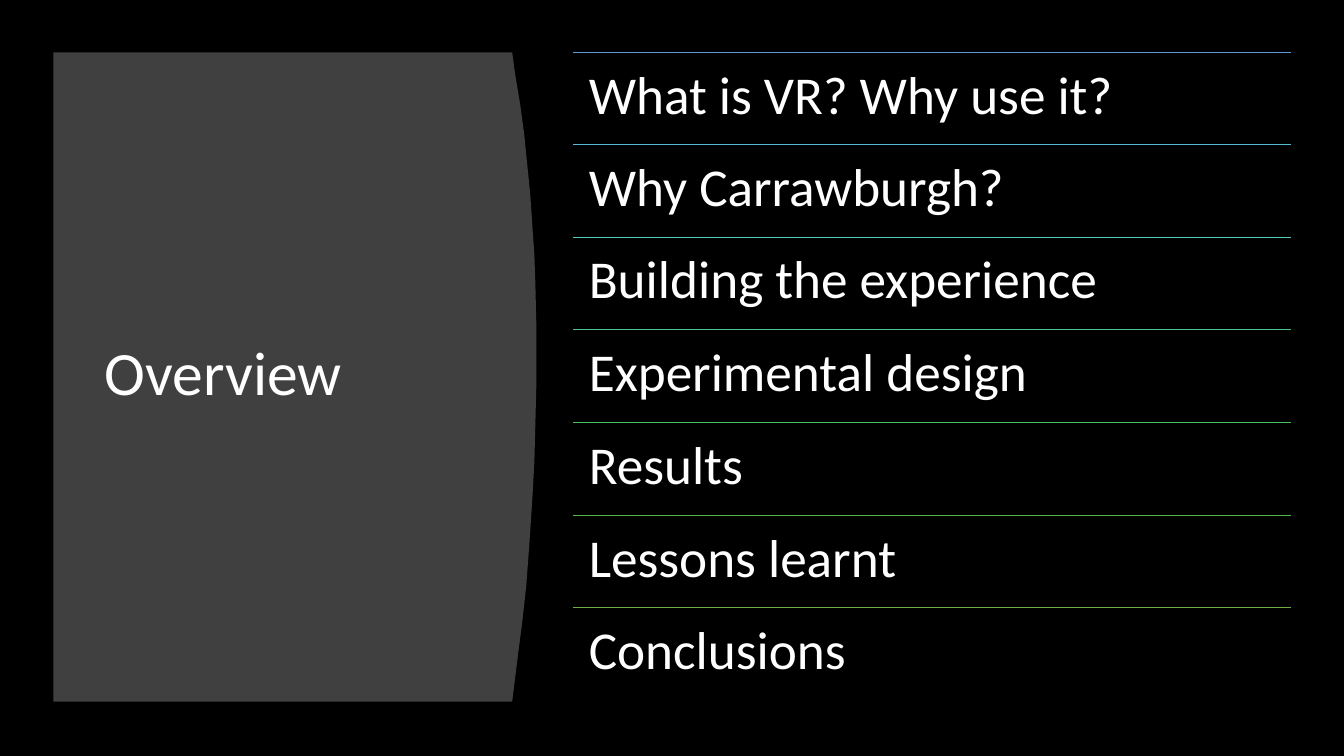
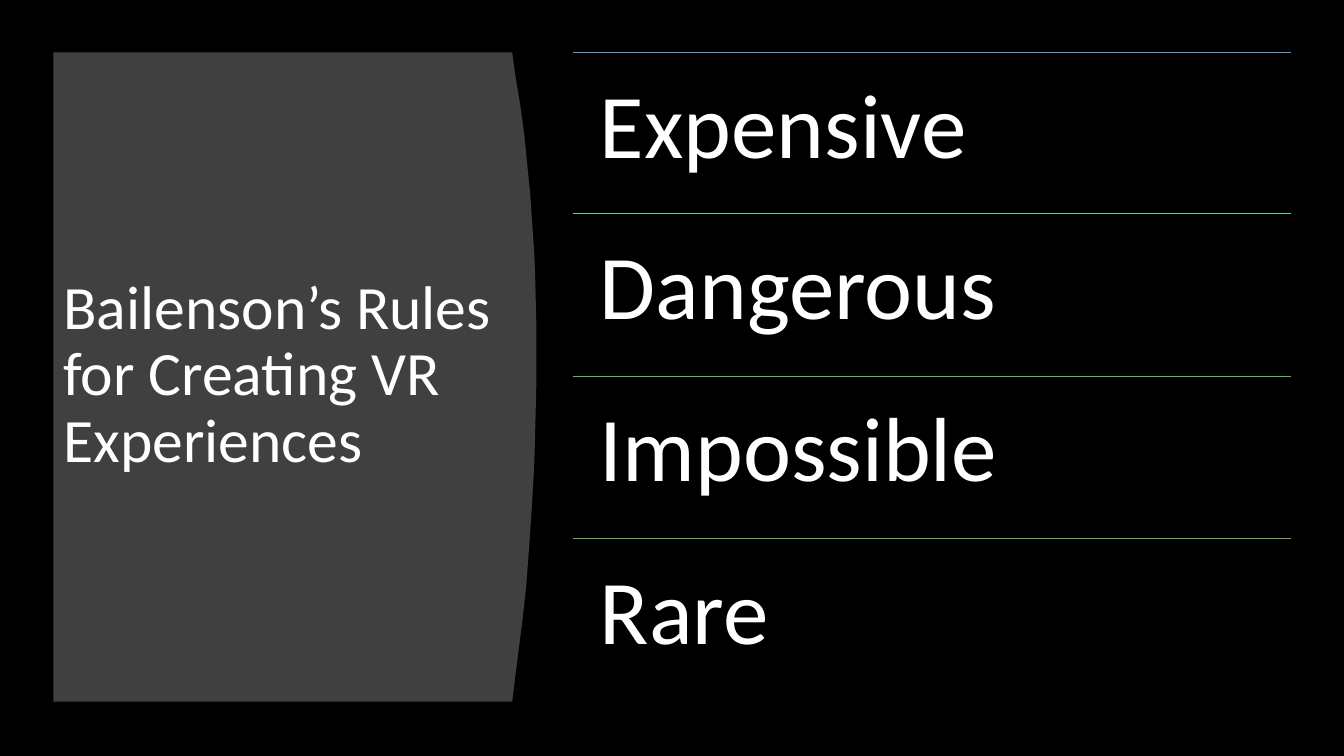
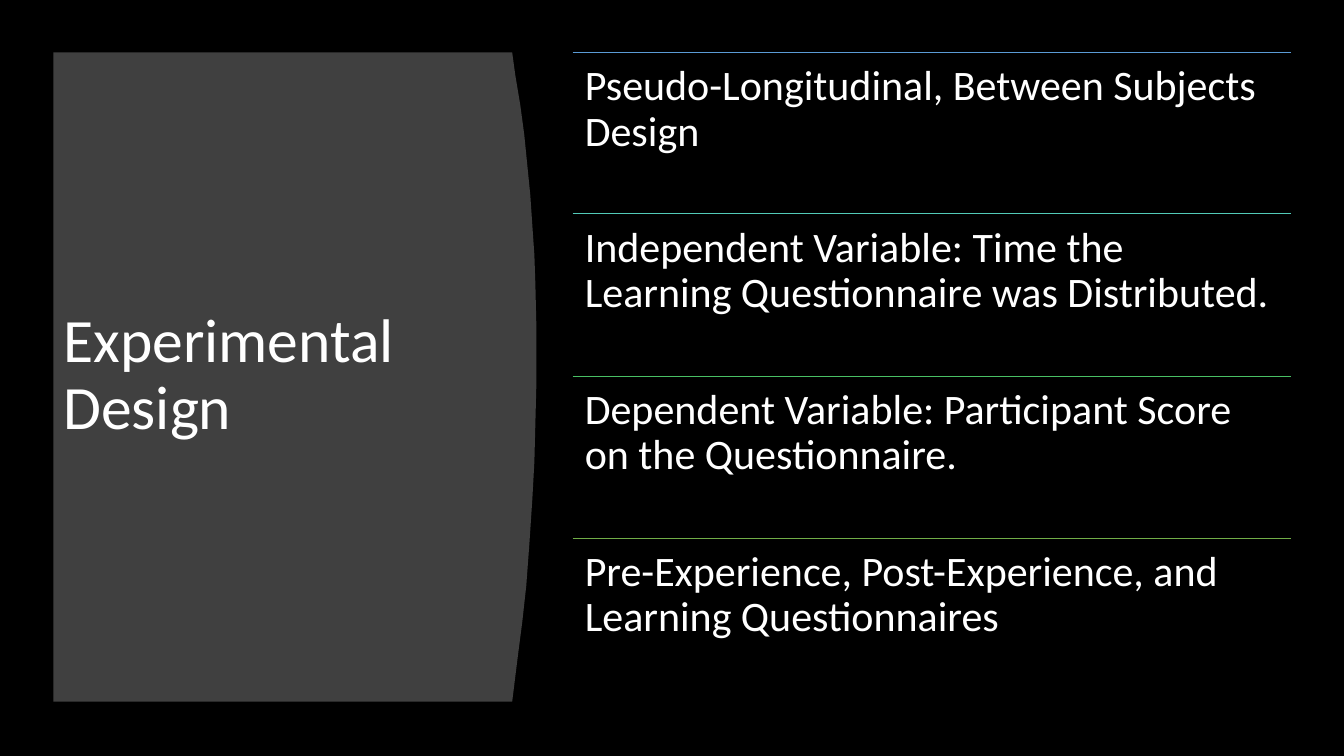
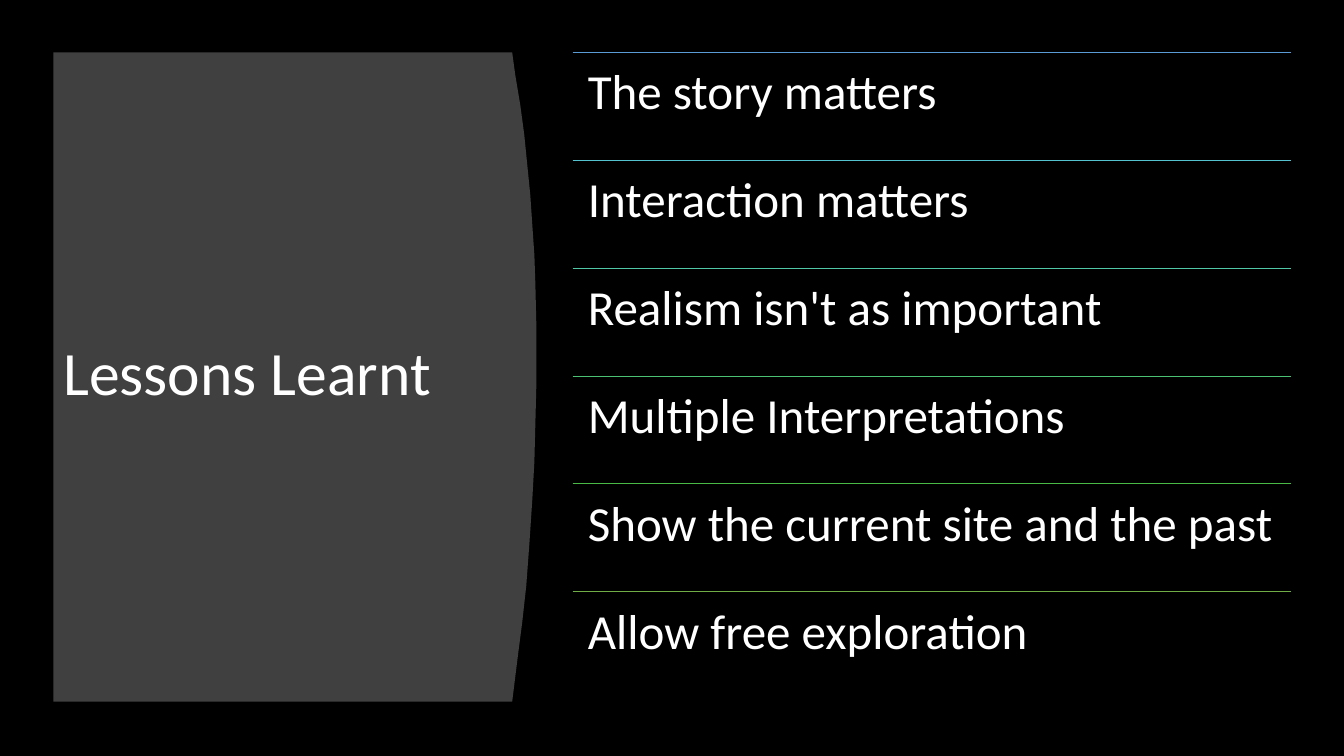
from colorsys import hls_to_rgb, rgb_to_hls
from dataclasses import dataclass

from lxml import etree
from pptx import Presentation
from pptx.dml.color import RGBColor
from pptx.enum.shapes import MSO_CONNECTOR
from pptx.enum.text import MSO_ANCHOR
from pptx.oxml.ns import qn
from pptx.slide import Slide
from pptx.util import Emu, Pt

TOP = MSO_ANCHOR.TOP
MIDDLE = MSO_ANCHOR.MIDDLE
STRAIGHT = MSO_CONNECTOR.STRAIGHT

BLACK = RGBColor(0x00, 0x00, 0x00)
GREY = RGBColor(0x40, 0x40, 0x40)
WHITE = RGBColor(0xFF, 0xFF, 0xFF)
BLUE = RGBColor(0x5B, 0x9B, 0xD5)
GREEN = RGBColor(0x70, 0xAD, 0x47)

FONT = "Calibri"
SCALE = 9144
PANEL = (
    (53, 52), (508, 52), (511, 74), (516, 104), (520, 134), (523, 164),
    (526, 194), (528, 224), (530, 253), (531, 282), (532, 325), (532, 380),
    (531, 420), (530, 458), (528, 495), (525, 540), (522, 581), (518, 617),
    (514, 648), (511, 672), (508, 696), (53, 696),
)
LEFT, HEAD, WIDE, TALL = 568, 52, 712, 643


@dataclass(frozen=True)
class Box:
    x: int
    y: int
    w: int
    h: int


@dataclass(frozen=True)
class Style:
    size: int
    side: int
    edge: int
    anchor: MSO_ANCHOR = TOP


@dataclass(frozen=True)
class Page:
    title: str
    place: Box
    style: Style
    items: tuple[str, ...]


TITLE = Style(44, 10, 5, MIDDLE)
PAGES = (
    Page("Overview", Box(94, 111, 374, 524), Style(38, 16, 16), (
        "What is VR? Why use it?",
        "Why Carrawburgh?",
        "Building the experience",
        "Experimental design",
        "Results",
        "Lessons learnt",
        "Conclusions",
    )),
    Page("Bailenson’s Rules for Creating VR Experiences",
         Box(53, 111, 501, 524), Style(65, 27, 27),
         ("Expensive", "Dangerous", "Impossible", "Rare")),
    Page("Experimental Design", Box(53, 111, 457, 524), Style(30, 12, 12), (
        "Pseudo-Longitudinal, Between Subjects Design",
        "Independent Variable: Time the Learning Questionnaire was Distributed.",
        "Dependent Variable: Participant Score on the Questionnaire.",
        "Pre-Experience, Post-Experience, and Learning Questionnaires",
    )),
    Page("Lessons Learnt", Box(53, 111, 457, 524), Style(35, 15, 15), (
        "The story matters",
        "Interaction matters",
        "Realism isn't as important",
        "Multiple Interpretations",
        "Show the current site and the past",
        "Allow free exploration",
    )),
)


def px(size: int) -> Emu:
    return Emu(size * SCALE)


def blend(part: float) -> RGBColor:
    first, last = (rgb_to_hls(*(c / 255 for c in tone)) for tone in (BLUE, GREEN))
    mix = (a + (b - a) * part for a, b in zip(first, last))
    return RGBColor(*(round(c * 255) for c in hls_to_rgb(*mix)))


def add_text(slide: Slide, text: str, box: Box, style: Style) -> None:
    shape = slide.shapes.add_textbox(px(box.x), px(box.y), px(box.w), px(box.h))
    frame = shape.text_frame
    frame.word_wrap = True
    frame.vertical_anchor = style.anchor
    frame.margin_left = frame.margin_right = px(style.side)
    frame.margin_top = frame.margin_bottom = px(style.edge)
    para = frame.paragraphs[0]
    para.text = text
    para.line_spacing = 0.9
    para.font.name = FONT
    para.font.size = Pt(style.size)
    para.font.color.rgb = WHITE


def add_panel(slide: Slide) -> None:
    pen = slide.shapes.build_freeform(*PANEL[0], scale=SCALE)
    pen.add_line_segments(PANEL[1:], close=True)
    panel = pen.convert_to_shape()
    panel.shadow.inherit = False
    panel.fill.solid()
    panel.fill.fore_color.rgb = GREY
    panel.line.fill.background()


def add_rule(slide: Slide, y: int, color: RGBColor) -> None:
    rule = slide.shapes.add_connector(
        STRAIGHT, px(LEFT), px(y), px(LEFT + WIDE), px(y))
    rule.line.color.rgb = color
    rule.line.width = Pt(0.5)
    etree.SubElement(rule._element.spPr, qn("a:effectLst"))


def add_rows(slide: Slide, page: Page) -> None:
    count = len(page.items)
    for i, item in enumerate(page.items):
        y = HEAD + TALL * i // count
        add_rule(slide, y, blend(i / (count - 1)))
        add_text(slide, item, Box(LEFT, y, WIDE, TALL // count), page.style)


def main() -> None:
    deck = Presentation()
    deck.slide_width, deck.slide_height = px(1333), px(750)
    back = deck.slide_master.background.fill
    back.solid()
    back.fore_color.rgb = BLACK
    for page in PAGES:
        slide = deck.slides.add_slide(deck.slide_layouts[6])
        add_panel(slide)
        add_text(slide, page.title, page.place, TITLE)
        add_rows(slide, page)
    deck.save("out.pptx")


if __name__ == "__main__":
    main()
